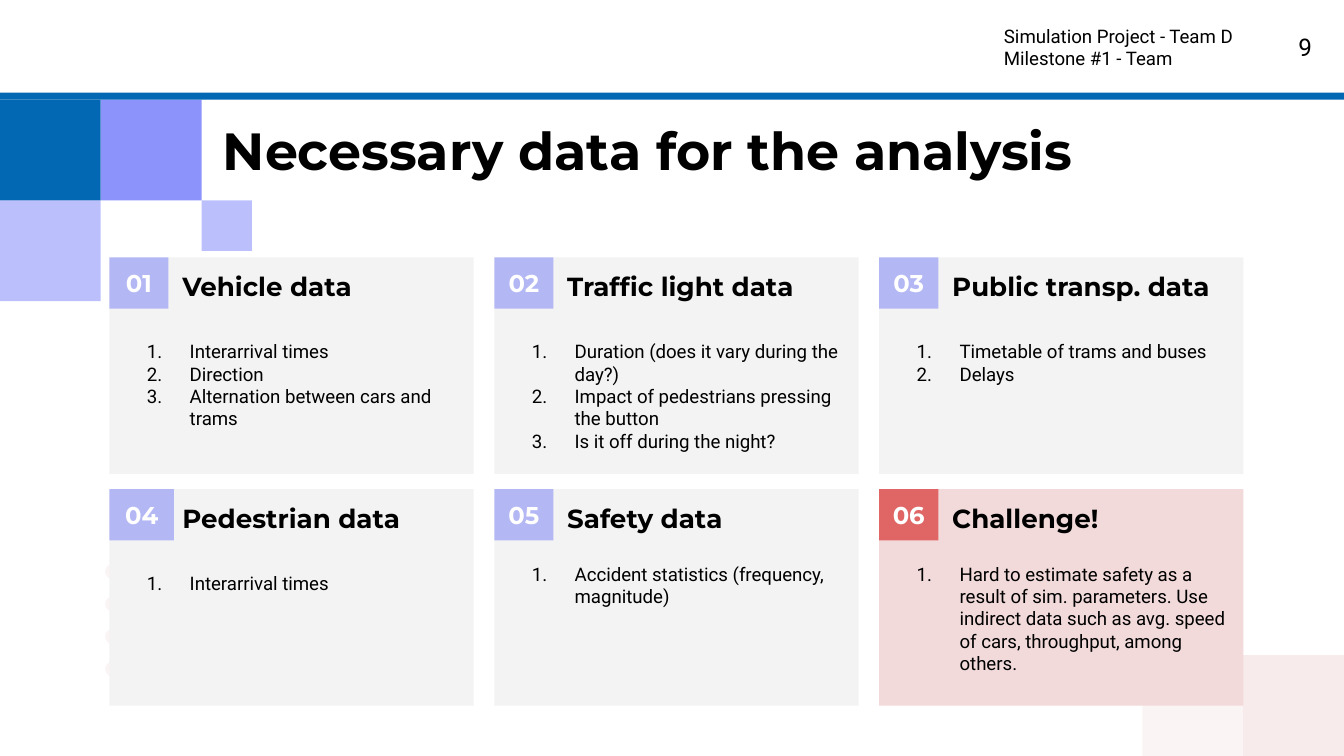
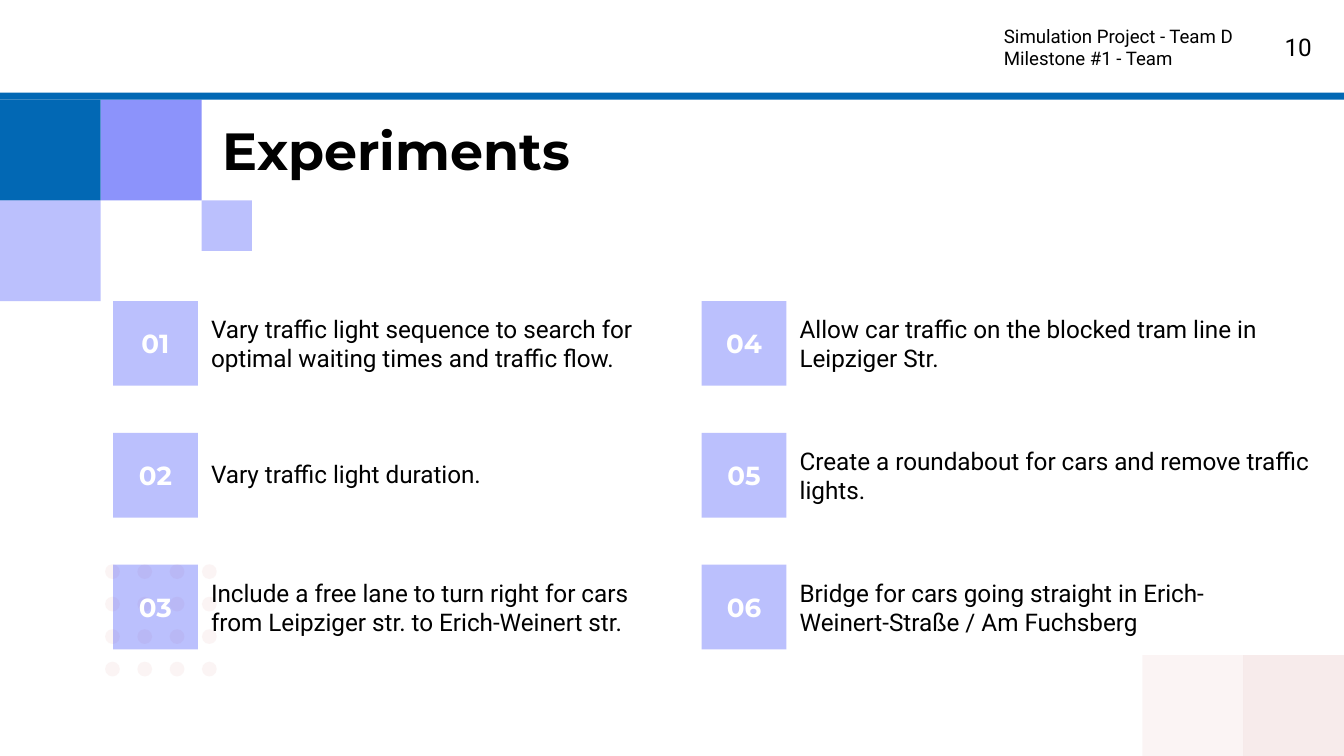
from dataclasses import dataclass
from itertools import product
from typing import Optional

from lxml.etree import SubElement
from pptx import Presentation
from pptx.dml.color import RGBColor
from pptx.enum.shapes import MSO_SHAPE
from pptx.enum.text import MSO_ANCHOR, MSO_AUTO_SIZE, PP_ALIGN
from pptx.oxml.ns import qn
from pptx.shapes.base import BaseShape
from pptx.slide import Slide
from pptx.util import Pt

COLORS = {
    "black": "000000", "white": "FFFFFF", "blue": "0268B4", "violet": "2634F9",
    "grey": "F3F3F3", "pink": "F2DADA", "pale_pink": "F7EBEB", "red": "E06666",
}
HEADING_FONT, BODY_FONT = "Montserrat", "Roboto"
SLIDE_WIDTH, SLIDE_HEIGHT = 720, 405
SQUARE = 54
RULE_TOP, RULE_HEIGHT = 49.6, 3.8
BAND_BOTTOM = RULE_TOP + RULE_HEIGHT
INSET = 7.2


@dataclass(frozen=True)
class Box:
    left: float
    top: float
    width: float
    height: float


@dataclass(frozen=True)
class Fill:
    color: str
    alpha: Optional[int] = None


@dataclass(frozen=True)
class TextStyle:
    size: float
    font: str = BODY_FONT
    bold: bool = False
    color: str = "black"
    align: PP_ALIGN = PP_ALIGN.LEFT
    anchor: MSO_ANCHOR = MSO_ANCHOR.TOP
    numbered: bool = False
    wrap: bool = True


@dataclass(frozen=True)
class Card:
    title: str
    items: list[str]
    body_top: float = 37
    badge_width: float = 31.7
    background: Fill = Fill("grey")
    badge: Fill = Fill("violet", 31)


@dataclass(frozen=True)
class Experiment:
    text: str
    width: float
    lines: int = 2


TITLE = TextStyle(28, HEADING_FONT, bold=True)
CARD_TITLE = TextStyle(14, HEADING_FONT, bold=True)
CARD_BODY = TextStyle(10, numbered=True)
CARD_BADGE = TextStyle(13, HEADING_FONT, True, "white", PP_ALIGN.CENTER, MSO_ANCHOR.MIDDLE, wrap=False)
EXPERIMENT_BADGE = TextStyle(14, HEADING_FONT, True, "white", PP_ALIGN.CENTER, MSO_ANCHOR.MIDDLE, wrap=False)
EXPERIMENT_TEXT = TextStyle(13)
PAGE_NUMBER = TextStyle(13, align=PP_ALIGN.RIGHT)
HEADER = TextStyle(10)

DECORATION = [
    (Box(0, BAND_BOTTOM, SQUARE, SQUARE), Fill("blue")),
    (Box(SQUARE, BAND_BOTTOM, SQUARE, SQUARE), Fill("violet", 53)),
    (Box(0, BAND_BOTTOM + SQUARE, SQUARE, SQUARE), Fill("violet", 31)),
    (Box(2 * SQUARE, BAND_BOTTOM + SQUARE, SQUARE / 2, SQUARE / 2), Fill("violet", 31)),
    (Box(SLIDE_WIDTH - SQUARE, SLIDE_HEIGHT - SQUARE, SQUARE, SQUARE), Fill("pale_pink")),
    (Box(SLIDE_WIDTH - 2 * SQUARE, SLIDE_HEIGHT - SQUARE, SQUARE, SQUARE), Fill("pink", 28)),
    (Box(0, 0, SLIDE_WIDTH, RULE_TOP), Fill("white")),
    (Box(0, RULE_TOP, SLIDE_WIDTH, RULE_HEIGHT), Fill("blue")),
]

CARDS = [
    Card("Vehicle data", ["Interarrival times", "Direction", "Alternation between cars and trams"]),
    Card("Traffic light data", [
        "Duration (does it vary during the day?)",
        "Impact of pedestrians pressing the button",
        "Is it off during the night?",
    ]),
    Card("Public transp. data", ["Timetable of trams and buses", "Delays"]),
    Card("Pedestrian data", ["Interarrival times"], badge_width=34.6),
    Card("Safety data", ["Accident statistics (frequency, magnitude)"], body_top=32),
    Card(
        "Challenge!",
        ["Hard to estimate safety as a result of sim. parameters. Use indirect data such as "
         "avg. speed of cars, throughput, among others."],
        body_top=32, background=Fill("pink"), badge=Fill("red"),
    ),
]

EXPERIMENTS = [
    Experiment("Vary traffic light sequence to search for optimal waiting times and traffic flow.", 255),
    Experiment("Vary traffic light duration.", 194, lines=1),
    Experiment("Include a free lane to turn right for cars from Leipziger str. to Erich-Weinert str.", 255),
    Experiment("Allow car traffic on the blocked tram line in Leipziger Str.", 263),
    Experiment("Create a roundabout for cars and remove traffic lights.", 289.5),
    Experiment("Bridge for cars going straight in Erich-Weinert-Straße / Am Fuchsberg", 245.5),
]


def place(shape: BaseShape, box: Box) -> None:
    shape.left, shape.top = Pt(box.left), Pt(box.top)
    shape.width, shape.height = Pt(box.width), Pt(box.height)


def write(shape: BaseShape, lines: list[str], style: TextStyle, space_after: float = 0) -> None:
    frame = shape.text_frame
    frame.auto_size = MSO_AUTO_SIZE.NONE
    frame.word_wrap = style.wrap
    frame.vertical_anchor = style.anchor
    frame.margin_left = frame.margin_right = frame.margin_top = frame.margin_bottom = Pt(INSET)
    frame.text = "\n".join(lines)
    for paragraph in frame.paragraphs:
        paragraph.alignment = style.align
        if space_after:
            paragraph.space_after = Pt(space_after)
        if style.numbered:
            properties = paragraph._p.get_or_add_pPr()
            properties.set("marL", str(Pt(36)))
            properties.set("indent", str(Pt(-23)))
            bullet_color = SubElement(properties, qn("a:buClr"))
            SubElement(bullet_color, qn("a:srgbClr"), val=COLORS[style.color])
            SubElement(properties, qn("a:buFont"), typeface=style.font)
            SubElement(properties, qn("a:buAutoNum"), type="arabicPeriod")
        paragraph.font.name = style.font
        paragraph.font.size = Pt(style.size)
        paragraph.font.bold = style.bold
        paragraph.font.color.rgb = RGBColor.from_string(COLORS[style.color])


def add_filled(slide: Slide, box: Box, fill: Fill, kind: MSO_SHAPE = MSO_SHAPE.RECTANGLE) -> BaseShape:
    shape = slide.shapes.add_shape(kind, 0, 0, 0, 0)
    place(shape, box)
    shape.shadow.inherit = False
    shape.line.fill.background()
    shape.fill.solid()
    shape.fill.fore_color.rgb = RGBColor.from_string(COLORS[fill.color])
    if fill.alpha is not None:
        color = shape._element.xpath("./p:spPr/a:solidFill/a:srgbClr")[0]
        SubElement(color, qn("a:alpha"), val=str(fill.alpha * 1000))
    return shape


def add_text(slide: Slide, box: Box, lines: list[str], style: TextStyle, space_after: float = 0) -> None:
    shape = slide.shapes.add_textbox(0, 0, 0, 0)
    place(shape, box)
    write(shape, lines, style, space_after)


def add_base_slide(presentation: Presentation, title: str, number: int, dot_columns: int) -> Slide:
    slide = presentation.slides.add_slide(presentation.slide_layouts[5])
    place(slide.shapes.title, Box(112.2, 56, 547, 45.4))
    write(slide.shapes.title, [title], TITLE)
    for row, column in product(range(4), range(dot_columns)):
        dot = Box(56.3 + 17.3 * column, 302.3 + 17.4 * row, 7.9, 7.9)
        add_filled(slide, dot, Fill("pink", 28), MSO_SHAPE.OVAL)
    for box, fill in DECORATION:
        add_filled(slide, box, fill)
    add_text(slide, Box(666.7, 10, 43.2, 31), [str(number)], PAGE_NUMBER)
    add_text(slide, Box(530.8, 6, 150, 37.4), ["Simulation Project - Team D", "Milestone #1 - Team"], HEADER)
    return slide


def add_card(slide: Slide, index: int, card: Card) -> None:
    row, column = divmod(index, 3)
    width, height = 195.2, 116
    left, top = 58.6 + 206.2 * column, 137.9 + 124.2 * row
    add_filled(slide, Box(left, top, width, height), card.background)
    add_text(slide, Box(left + 32, top, 155.5, 27.4), [card.title], CARD_TITLE, 8)
    add_text(slide, Box(left, top + card.body_top, width, height - card.body_top), card.items, CARD_BODY)
    badge = add_filled(slide, Box(left, top, card.badge_width, 27.4), card.badge)
    write(badge, [f"{index + 1:02}"], CARD_BADGE)


def add_experiment(slide: Slide, index: int, experiment: Experiment) -> None:
    column, row = divmod(index, 3)
    size = 45.4
    left, top = 60.6 + 315.3 * column, 161.3 + 70.6 * row
    badge = add_filled(slide, Box(left, top, size, size), Fill("violet", 31))
    write(badge, [f"{index + 1:02}"], EXPERIMENT_BADGE)
    height = 16.6 + 14.4 * experiment.lines
    box = Box(left + size, top + (size - height) / 2, experiment.width, height)
    add_text(slide, box, [experiment.text], EXPERIMENT_TEXT, 8)


def main() -> None:
    presentation = Presentation()
    presentation.slide_width, presentation.slide_height = Pt(SLIDE_WIDTH), Pt(SLIDE_HEIGHT)

    data_slide = add_base_slide(presentation, "Necessary data for the analysis", 9, dot_columns=1)
    for index, card in enumerate(CARDS):
        add_card(data_slide, index, card)

    experiments_slide = add_base_slide(presentation, "Experiments", 10, dot_columns=4)
    for index, experiment in enumerate(EXPERIMENTS):
        add_experiment(experiments_slide, index, experiment)

    presentation.save("out.pptx")


if __name__ == "__main__":
    main()
